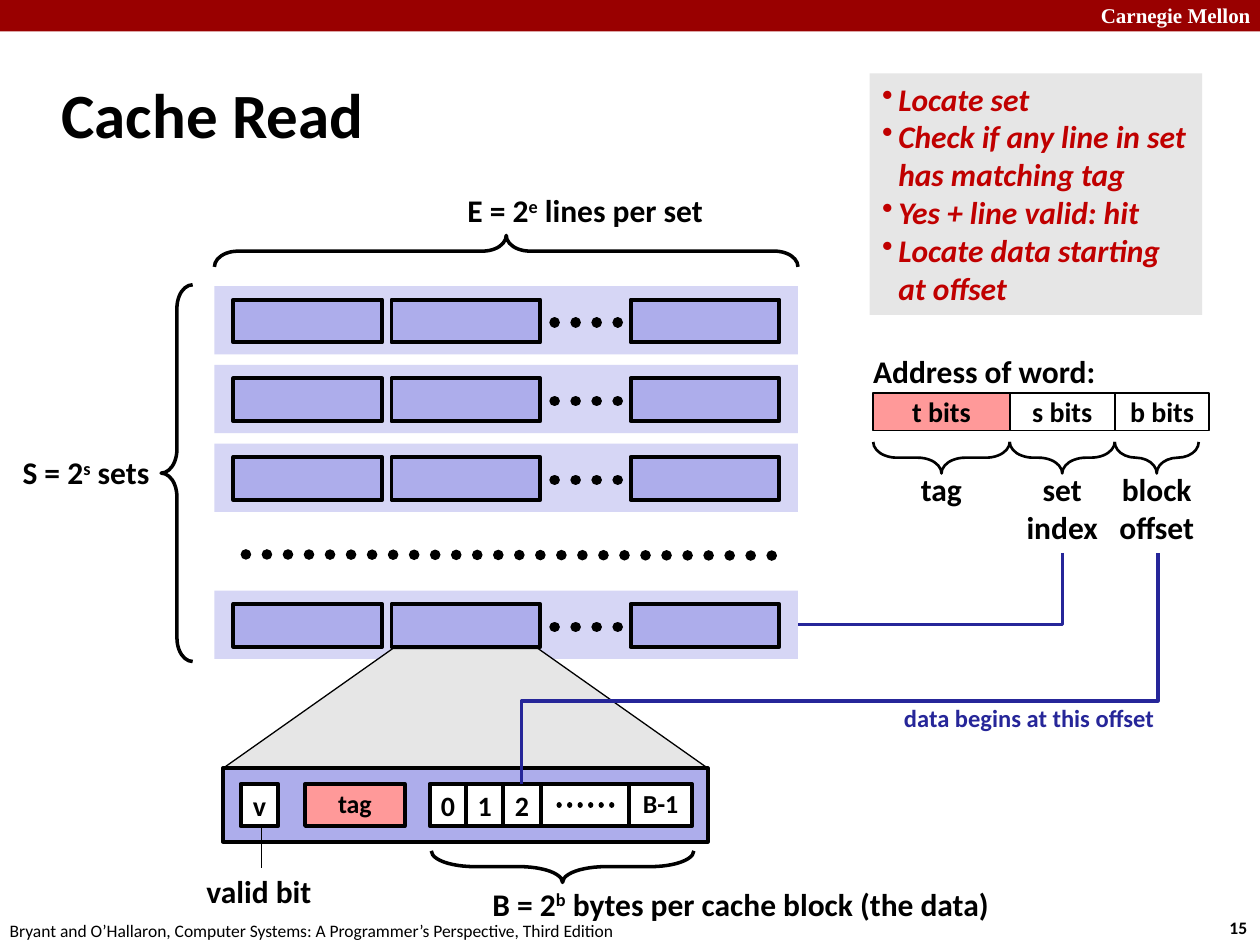
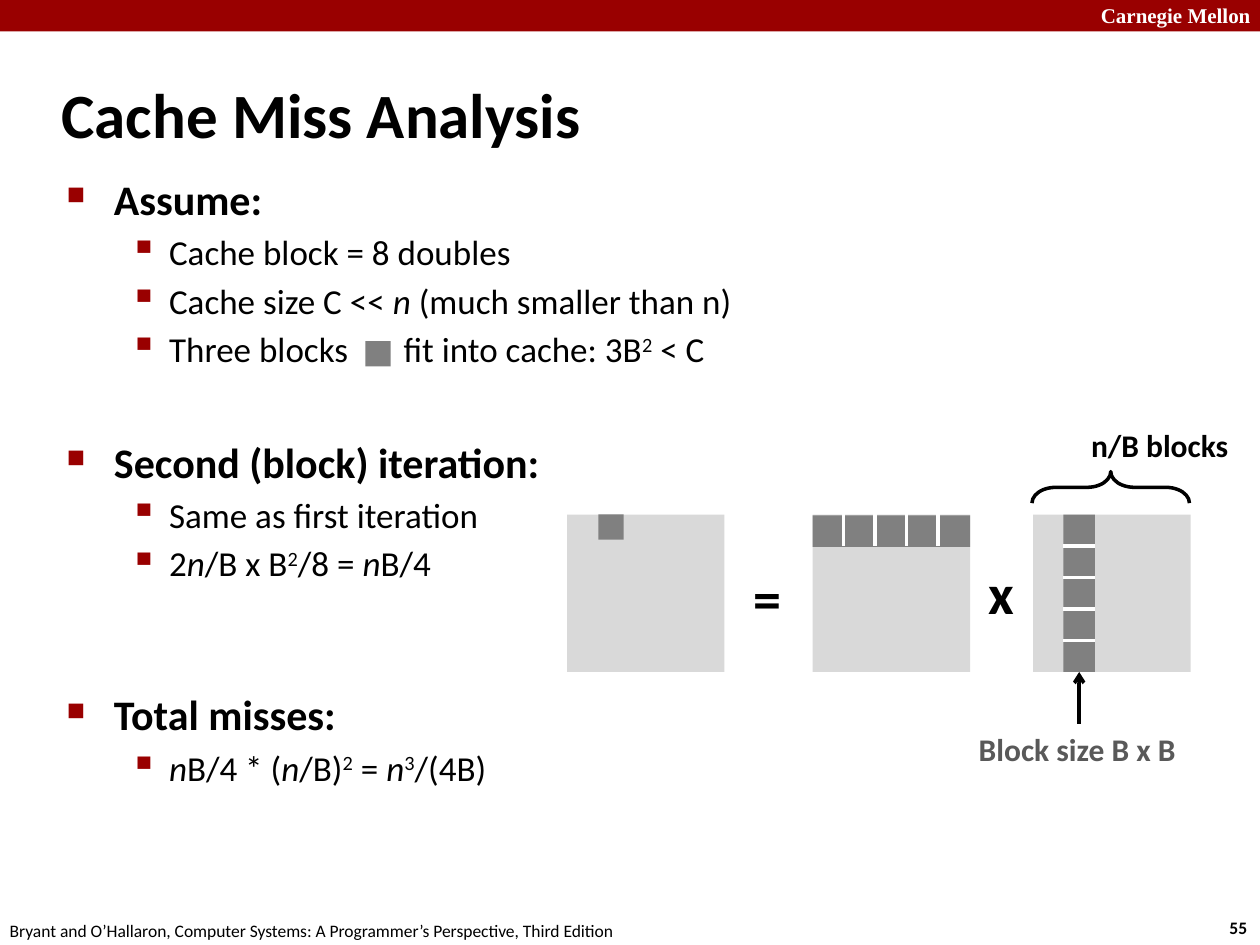
"""Build two lecture slides about cache reads and cache misses."""
from dataclasses import dataclass

from lxml import etree
from pptx import Presentation
from pptx.dml.color import RGBColor
from pptx.enum import dml, shapes, text
from pptx.oxml.ns import qn
from pptx.util import Pt

KIND = shapes.MSO_SHAPE
CENTER = text.PP_ALIGN.CENTER


@dataclass(frozen=True)
class Theme:
    """Colours, fonts and type sizes of the deck."""
    face: str = "Calibri"
    serif: str = "Times New Roman"
    ink: str = "000000"
    paper: str = "FFFFFF"
    band: str = "990000"
    alert: str = "C00000"
    panel: str = "E6E6E6"
    set_fill: str = "D6D6F5"
    line_fill: str = "ADADEB"
    tag_fill: str = "FF9999"
    wire: str = "262699"
    matrix: str = "D9D9D9"
    block: str = "808080"
    caption: str = "595959"
    title: float = 36
    operator: float = 32
    head: float = 24
    item: float = 20
    label: float = 18
    cell: float = 16
    small_cell: float = 14.8
    note: float = 14
    brand: float = 12
    foot: float = 10


THEME = Theme()


def apply_values(target, values):
    """Set each named attribute of the target."""
    for name, value in values.items():
        setattr(target, name, value)


def fill_para(para, marked, size=THEME.label, color=THEME.ink, **font):
    """Write runs split by |, where ^ raises a run and _ slants it."""
    for piece in marked.split("|"):
        if piece == "\n":
            para.add_line_break()
            continue
        span = para.add_run()
        span.text = piece.lstrip("^_")
        values = {"name": THEME.face, "size": Pt(size), "bold": True} | font
        if piece.startswith("_"):
            values["italic"] = True
        apply_values(span.font, values)
        span.font.color.rgb = RGBColor.from_string(color)
        if piece.startswith("^"):
            span.font._element.set("baseline", "30000")


def fill_frame(frame, lines, align=None, spacing=None, **look):
    """Write one paragraph per line and return the paragraphs."""
    for index, line in enumerate(lines):
        para = frame.add_paragraph() if index else frame.paragraphs[0]
        fill_para(para, line, **look)
        apply_values(para, {"alignment": align, "line_spacing": spacing})
    return frame.paragraphs


def add_bullet(para, mark, indent, hang, color=None, percent=100):
    """Give a paragraph a hanging bullet."""
    props = para._p.get_or_add_pPr()
    props.set("marL", str(Pt(indent)))
    props.set("indent", str(-Pt(hang)))
    if color:
        tint = etree.SubElement(props, qn("a:buClr"))
        etree.SubElement(tint, qn("a:srgbClr"), val=color)
    etree.SubElement(props, qn("a:buSzPct"), val=str(percent * 1000))
    etree.SubElement(props, qn("a:buChar"), char=mark)


def put_text(page, box, *lines, **look):
    """Add an unwrapped text box that fits its text."""
    frame = page.shapes.add_textbox(*map(Pt, box)).text_frame
    apply_values(frame, {"word_wrap": False,
                         "auto_size": text.MSO_AUTO_SIZE.SHAPE_TO_FIT_TEXT})
    return fill_frame(frame, lines, **look)


def put_shape(page, box, fill=None, weight=0, kind=KIND.RECTANGLE):
    """Add a flat preset shape with an optional fill and outline."""
    shape = page.shapes.add_shape(kind, *map(Pt, box))
    shape.shadow.inherit = False
    if fill:
        shape.fill.solid()
        shape.fill.fore_color.rgb = RGBColor.from_string(fill)
    else:
        shape.fill.background()
    if weight:
        shape.line.color.rgb = RGBColor.from_string(THEME.ink)
        shape.line.width = Pt(weight)
    else:
        shape.line.fill.background()
    return shape


def put_cell(page, box, fill, label, weight=2.25, size=THEME.cell, spacing=None):
    """Add an outlined cell with a centred label."""
    frame = put_shape(page, box, fill, weight).text_frame
    apply_values(frame, {"word_wrap": False,
                         "vertical_anchor": text.MSO_ANCHOR.MIDDLE})
    fill_frame(frame, [label], align=CENTER, size=size, spacing=spacing)


def put_brace(page, box, facing, weight=2, curl=0.75):
    """Add a brace that fills the box and points left, up or down."""
    left, top, width, height = box
    turn = {"left": 0, "up": 90, "down": 270}[facing]
    if turn:
        left += (width - height) / 2
        top += (height - width) / 2
        width, height = height, width
    brace = put_shape(page, (left, top, width, height), None, weight, KIND.LEFT_BRACE)
    brace.adjustments[0] = curl
    brace.rotation = turn


def put_line(page, start, end, weight, color=THEME.ink, bent=False):
    """Add a connector without a shadow."""
    kind = shapes.MSO_CONNECTOR.ELBOW if bent else shapes.MSO_CONNECTOR.STRAIGHT
    line = page.shapes.add_connector(kind, *map(Pt, (*start, *end)))
    line.line.color.rgb = RGBColor.from_string(color)
    line.line.width = Pt(weight)
    etree.SubElement(line.element.spPr, qn("a:effectLst"))
    return line


def put_dots(page, start, end, weight=6):
    """Add a row of round dots."""
    line = put_line(page, start, end, weight)
    line.line.dash_style = dml.MSO_LINE.ROUND_DOT
    line.element.spPr.get_or_add_ln().set("cap", "rnd")


def put_drop(page, start, end, preset, bend=None):
    """Add a bent connector that leaves downwards and runs to the left."""
    drop, run = end[1] - start[1], start[0] - end[0]
    left = (start[0] + end[0] - drop) / 2
    top = (start[1] + end[1] - run) / 2
    line = put_line(page, (left, top), (left + drop, top + run), 2, THEME.wire, True)
    props = line.element.spPr
    props.xfrm.set("rot", "5400000")
    props.prstGeom.set("prst", preset)
    if bend:
        etree.SubElement(props.prstGeom.find(qn("a:avLst")), qn("a:gd"),
                         name="adj1", fmla=f"val {round(bend * 100000)}")


def start_page(deck, title, number):
    """Add a slide with the band, footer, number and title."""
    page = deck.slides.add_slide(deck.slide_layouts[5])
    put_shape(page, (0, 0, 720, 18), THEME.band)
    put_text(page, (622, -2, 103, 21.6), "Carnegie Mellon", size=THEME.brand,
             color=THEME.paper, name=THEME.serif)
    put_text(page, (695.5, 520.5, 26.6, 19.4), number, size=THEME.foot)
    put_text(page, (-1.5, 522, 366, 19.4),
             "Bryant and O’Hallaron, Computer Systems: A Programmer’s Perspective, "
             "Third Edition", size=THEME.foot, bold=False)
    holder = page.shapes.title
    apply_values(holder, {"left": Pt(28), "top": Pt(34.5),
                          "width": Pt(598), "height": Pt(60)})
    apply_values(holder.text_frame, {"vertical_anchor": text.MSO_ANCHOR.MIDDLE,
                                     "auto_size": text.MSO_AUTO_SIZE.NONE})
    fill_frame(holder.text_frame, [title], align=text.PP_ALIGN.LEFT, size=THEME.title)
    return page


def draw_set(page, left, top):
    """Draw one cache set with its lines."""
    put_shape(page, (left, top, 333.5, 39), THEME.set_fill)
    for offset in (10.8, 101.2, 237.8):
        put_shape(page, (left + offset, top + 7.7, 85, 24.5), THEME.line_fill, 2.25)
    put_dots(page, (left + 194.4, top + 20.7), (left + 238.3, top + 20.7))


def draw_cache(page, left, top):
    """Draw the sets of the cache with their braces."""
    put_brace(page, (left, top - 29, 333.5, 18), "up")
    put_brace(page, (left - 30.4, top - 0.8, 18, 215.3), "left")
    for offset in (0, 45, 90, 174):
        draw_set(page, left, top + offset)
    put_dots(page, (left + 18, top + 153.3), (left + 323.3, top + 154))
    put_text(page, (left + 137.5, top - 57.7, 154, 28.8), "E = 2|^e| lines per set")
    put_text(page, (left - 116.7, top + 92.1, 88.6, 28.8), "S = 2|^s| sets")


def draw_block(page, left, top):
    """Draw one cache line enlarged, with its parts."""
    funnel = put_shape(page, (left, top - 68.4, 277, 68.4), THEME.panel, 0.75,
                       KIND.TRAPEZOID)
    funnel.adjustments[0] = 1.418
    put_shape(page, (left, top, 277, 42), THEME.line_fill, 2.25)
    row, tall = top + 9, 24
    small = {"size": THEME.small_cell, "spacing": 0.9}
    put_cell(page, (left + 10, row, 21.5, tall), THEME.paper, "v")
    put_cell(page, (left + 46.8, row, 57, tall), THEME.tag_fill, "tag", **small)
    across = left + 118
    for label, width, look in (("0", 21, {}), ("1", 21, {}), ("2", 21.5, {}),
                               ("", 50.5, {}), ("B-1", 36, small)):
        box = (across, row, width, tall)
        if label:
            put_cell(page, box, THEME.paper, label, **look)
        else:
            put_shape(page, box, THEME.paper, 2.25)
            put_dots(page, (across + 10.5, row + 12), (across + 46.5, row + 12), 3)
        across += width
    put_line(page, (left + 22, top + 57), (left + 22, row + tall), 0.75)
    put_text(page, (left - 16.6, top + 55.6, 75, 28.8), "valid bit")
    put_brace(page, (left + 119, top + 47.2, 150, 18), "down", curl=1.37)
    put_text(page, (left + 146.8, top + 63, 301.7, 28.8),
             "B = 2|^b| bytes per cache block (the data)")


def draw_address(page, left, top):
    """Draw the fields of the word address."""
    put_text(page, (left - 7.2, top - 26.6, 142.5, 28.8), "Address of word:")
    fields = (("t bits", 78, 78, THEME.tag_fill, ["tag"]),
              ("s bits", 60, 60, THEME.paper, ["set", "index"]),
              ("b bits", 54, 48, THEME.paper, ["block", "offset"]))
    for bits, width, span, fill, names in fields:
        put_cell(page, (left, top, width, 21.5), fill, bits, weight=1)
        put_brace(page, (left, top + 28, span, 18), "down", weight=1.5)
        put_text(page, (left + span / 2 - 29, top + 40.5, 58, 51), *names, align=CENTER)
        left += width


def draw_steps(page, box):
    """Draw the panel with the steps of a read."""
    frame = put_shape(page, box, THEME.panel).text_frame
    apply_values(frame, {"word_wrap": False,
                         "vertical_anchor": text.MSO_ANCHOR.TOP})
    steps = ("Locate set", "Check if any line in set|\n|has matching tag",
             "Yes + line valid: hit", "Locate data starting|\n|at offset")
    for para in fill_frame(frame, steps, align=text.PP_ALIGN.LEFT,
                           color=THEME.alert, italic=True):
        add_bullet(para, "•", 9.2, 9.2)


def build_read(deck):
    """Build the slide on reading the cache."""
    page = start_page(deck, "Cache Read", "15")
    draw_cache(page, 122.5, 163.5)
    draw_block(page, 127.5, 439)
    draw_address(page, 499, 224.5)
    put_drop(page, (607, 316), (456, 357), "bentConnector2")
    put_drop(page, (661.7, 316), (298, 448), "bentConnector3", 0.64)
    put_text(page, (509.5, 398.2, 158.4, 24.5), "data begins at this offset",
             size=THEME.note, color=THEME.wire)
    draw_steps(page, (497, 42, 190, 138))


def write_analysis(page, box):
    """Write the outline of the miss analysis."""
    frame = page.shapes.add_textbox(*map(Pt, box)).text_frame
    frame.word_wrap = True
    outline = (
        (0, "Assume:", ["Cache block = 8 doubles",
                        "Cache size C << |_n| (much smaller than n)",
                        "Three blocks| |fit into cache: 3B|^2| < C"]),
        (38, "Second (block) iteration:", ["Same as first iteration",
                                           "2|_n|/B x B|^2|/8 = |_n|B/4"]),
        (60, "Total misses:", ["_n|B/4 * (|_n|/B)|^2| = |_n|^3|/(4B)".replace("|_n|^3", "|_n|^3")]),
    )
    para = frame.paragraphs[0]
    for gap, head, items in outline:
        if gap:
            para = frame.add_paragraph()
            para.space_before = Pt(gap)
        add_bullet(para, "■", 27, 27, THEME.band, 60)
        fill_para(para, head, size=THEME.head)
        for item in items:
            para = frame.add_paragraph()
            para.space_before = Pt(3.8)
            add_bullet(para, "▪", 58.5, 22.5, THEME.band, 110)
            fill_para(para, item, size=THEME.item, bold=False)
            for span in para.runs:
                if span.text == " ":
                    span.font._element.set("spc", "2710")


def draw_product(page, left, top):
    """Draw the blocked matrix product."""
    side, step = 90, 18
    row, column = left + 140.4, left + 266.4
    for edge in (left, row, column):
        put_shape(page, (edge, top, side, side), THEME.matrix)
    strip = column + step - 0.7
    put_shape(page, (left + step, top, 14.4, 14.4), THEME.block)
    put_shape(page, (row, top + 0.5, side, step), THEME.block)
    put_shape(page, (strip, top, step, side), THEME.block)
    for cut in range(step, side, step):
        put_line(page, (row + cut - 0.5, top), (row + cut - 0.5, top + step), 2, THEME.paper)
        put_line(page, (strip, top + cut), (strip + step, top + cut), 2, THEME.paper)
    put_text(page, (left + 99.4, top + 24.5, 31, 46), "=", size=THEME.operator)
    put_text(page, (left + 234, top + 21.6, 29.5, 46), "x", size=THEME.operator)
    put_brace(page, (column - 0.7, top - 24.5, side, step), "up")
    put_text(page, (column + 26, top - 54, 93.6, 28.8), "n/B blocks")
    middle = strip + step / 2
    arrow = put_line(page, (middle, top + 119.5), (middle, top + side), 2)
    etree.SubElement(arrow.element.spPr.get_or_add_ln(), qn("a:tailEnd"), type="arrow")
    put_text(page, (left + 228.2, top + 119.5, 128.2, 28.8), "Block size B x B",
             color=THEME.caption)


def build_analysis(deck):
    """Build the slide on cache misses."""
    page = start_page(deck, "Cache Miss Analysis", "55")
    write_analysis(page, (31, 95.5, 622, 420))
    draw_product(page, 324, 294)
    put_shape(page, (208.8, 195, 14.4, 14.4), THEME.block)


def main():
    """Build and save the deck."""
    deck = Presentation()
    apply_values(deck, {"slide_width": Pt(720), "slide_height": Pt(540)})
    build_read(deck)
    build_analysis(deck)
    deck.save("out.pptx")


if __name__ == "__main__":
    main()
